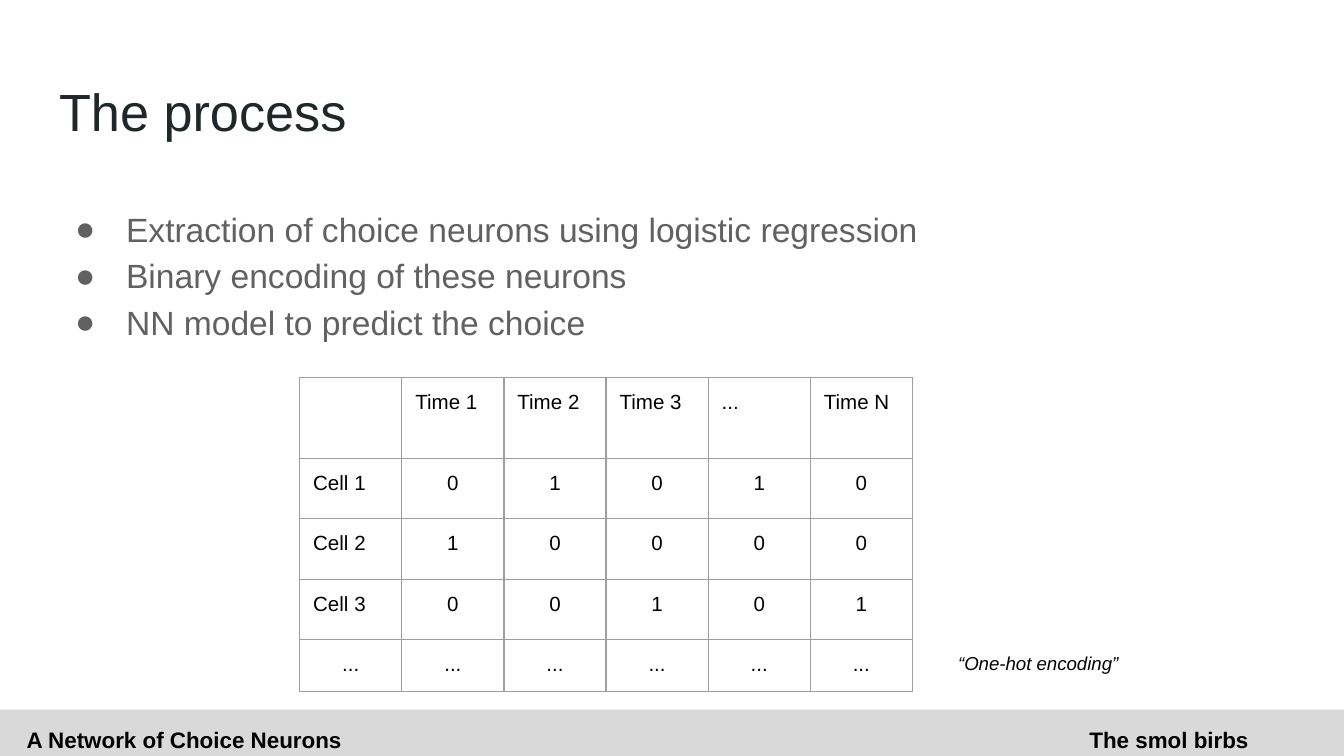
"""Build the process slide with its bullets, encoding table and footer."""
from dataclasses import dataclass, field

from lxml.etree import SubElement
from pptx import Presentation
from pptx.dml.color import RGBColor
from pptx.enum.shapes import MSO_SHAPE as Shape
from pptx.enum.text import MSO_ANCHOR as Anchor, MSO_AUTO_SIZE as AutoSize, PP_ALIGN as Align
from pptx.oxml.ns import qn
from pptx.slide import Slide
from pptx.table import _Cell as Cell
from pptx.text.text import TextFrame, _Paragraph as Paragraph
from pptx.util import Inches, Pt

BLACK = RGBColor(0x00, 0x00, 0x00)
INK = RGBColor(0x20, 0x27, 0x29)
GREY = RGBColor(0x61, 0x61, 0x61)
BAND = RGBColor(0xD9, 0xD9, 0xD9)
RULE = RGBColor(0x9E, 0x9E, 0x9E)
FONT = "Arial"
SLIDE_WIDTH = 10
SLIDE_HEIGHT = SLIDE_WIDTH * 9 / 16
BAND_TOP = 5.28
MARGIN = Inches(0.1)
MARGINS = {f"margin_{side}": MARGIN for side in ("left", "top", "right", "bottom")}
FRAME = {"word_wrap": True, "vertical_anchor": Anchor.TOP}

BULLETS = (
    "Extraction of choice neurons using logistic regression",
    "Binary encoding of these neurons",
    "NN model to predict the choice",
)
ROWS = (
    ("", "Time 1", "Time 2", "Time 3", "...", "Time N"),
    ("Cell 1", "0", "1", "0", "1", "0"),
    ("Cell 2", "1", "0", "0", "0", "0"),
    ("Cell 3", "0", "0", "1", "0", "1"),
    ("...",) * 6,
)
ROW_HEIGHTS = (0.6, 0.45, 0.45, 0.45, 0.32)
COL_WIDTH = 0.76


@dataclass
class Label:
    lines: tuple[str, ...]
    box: tuple[float, float, float, float]
    size: float
    color: RGBColor = BLACK
    align: Align = Align.LEFT
    bullets: bool = False
    auto_size: AutoSize = AutoSize.NONE
    style: dict[str, bool] = field(default_factory=dict)


TITLE = Label(("The process",), (0.34, 0.49, 9.32, 0.63), 28, INK)
LABELS = (
    Label(("A Network of Choice Neurons",), (0.1, 5.3, 4.48, 0.34), 12, style={"bold": True}),
    Label(("The smol birbs",), (5.52, 5.3, 3.87, 0.37), 12, align=Align.RIGHT, style={"bold": True}),
    Label(BULLETS, (0.34, 1.41, 6.87, 1.6), 18, GREY, bullets=True),
    Label(("“One-hot encoding”",), (7.03, 4.77, 2.11, 0.37), 10,
          auto_size=AutoSize.SHAPE_TO_FIT_TEXT, style={"italic": True}),
)


def apply(target: object, values: dict) -> None:
    for name, value in values.items():
        setattr(target, name, value)


def add_bullet(p: Paragraph, color: RGBColor) -> None:
    p.line_spacing = 1.15
    pPr = p._p.get_or_add_pPr()
    pPr.set("marL", str(Inches(0.5)))
    pPr.set("indent", str(Inches(-0.38)))
    SubElement(SubElement(pPr, qn("a:buClr")), qn("a:srgbClr"), val=str(color))
    SubElement(pPr, qn("a:buFont"), typeface=FONT)
    SubElement(pPr, qn("a:buChar"), char="●")


def write(p: Paragraph, text: str, size: float, color: RGBColor, align: Align, style: dict) -> None:
    p.alignment = align
    r = p.add_run()
    r.text = text
    apply(r.font, {"name": FONT, "size": Pt(size), **style})
    r.font.color.rgb = color


def fill_label(tf: TextFrame, label: Label) -> None:
    apply(tf, {**FRAME, **MARGINS, "auto_size": label.auto_size})
    for i, line in enumerate(label.lines):
        p = tf.add_paragraph() if i else tf.paragraphs[0]
        if label.bullets:
            add_bullet(p, label.color)
        write(p, line, label.size, label.color, label.align, label.style)


def add_title(s: Slide, label: Label) -> None:
    title = s.shapes.title
    apply(title, dict(zip(("left", "top", "width", "height"), map(Inches, label.box))))
    fill_label(title.text_frame, label)


def add_footer_band(s: Slide) -> None:
    band = s.shapes.add_shape(Shape.RECTANGLE, 0, Inches(BAND_TOP), Inches(SLIDE_WIDTH),
                              Inches(SLIDE_HEIGHT - BAND_TOP))
    band.shadow.inherit = False
    band.fill.solid()
    band.fill.fore_color.rgb = BAND
    band.line.fill.background()


def add_borders(cell: Cell) -> None:
    tcPr = cell._tc.get_or_add_tcPr()
    for side in "LRTB":
        ln = SubElement(tcPr, qn(f"a:ln{side}"), w=str(Pt(0.75)))
        SubElement(SubElement(ln, qn("a:solidFill")), qn("a:srgbClr"), val=str(RULE))


def add_encoding_table(s: Slide) -> None:
    cols = len(ROWS[0])
    frame = s.shapes.add_table(len(ROWS), cols, Inches(2.23), Inches(2.81),
                               Inches(COL_WIDTH * cols), Inches(sum(ROW_HEIGHTS)))
    table = frame.table
    apply(table, {"first_row": False, "horz_banding": False})
    for col in table.columns:
        col.width = Inches(COL_WIDTH)
    for row, height, texts in zip(table.rows, ROW_HEIGHTS, ROWS):
        row.height = Inches(height)
        for cell, text in zip(row.cells, texts):
            apply(cell, MARGINS)
            add_borders(cell)
            cell.fill.background()
            is_heading = texts is ROWS[0] or text.startswith("Cell")
            if text:
                write(cell.text_frame.paragraphs[0], text, 11, BLACK,
                      Align.LEFT if is_heading else Align.CENTER, {})


def main() -> None:
    prs = Presentation()
    apply(prs, {"slide_width": Inches(SLIDE_WIDTH), "slide_height": Inches(SLIDE_HEIGHT)})
    s = prs.slides.add_slide(prs.slide_layouts[5])
    add_footer_band(s)
    add_title(s, TITLE)
    for label in LABELS:
        fill_label(s.shapes.add_textbox(*map(Inches, label.box)).text_frame, label)
    add_encoding_table(s)
    prs.save("out.pptx")


if __name__ == "__main__":
    main()
